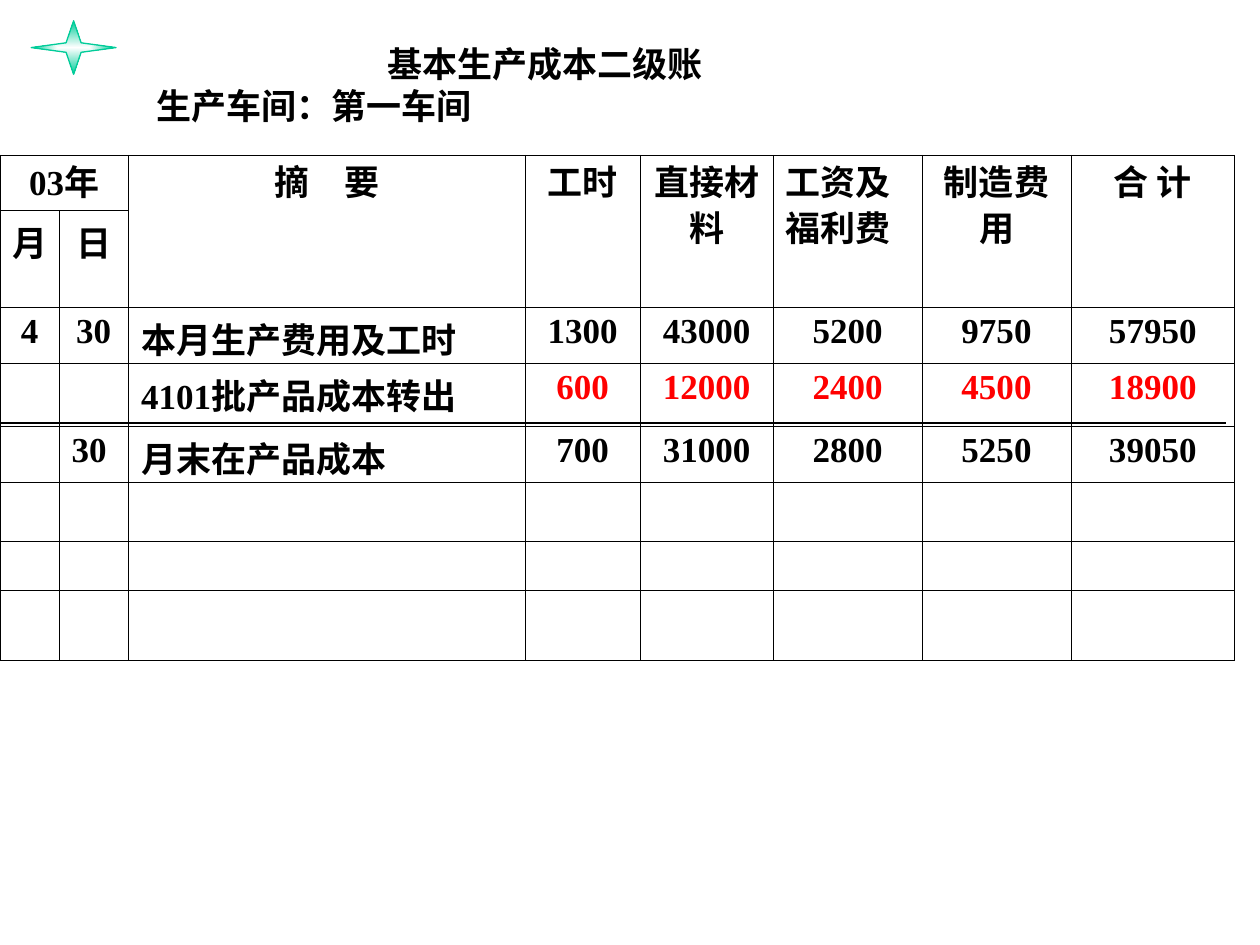
from lxml.etree import SubElement
from pptx import Presentation
from pptx.dml.color import RGBColor
from pptx.enum.shapes import MSO_CONNECTOR as Link, MSO_SHAPE as Shape
from pptx.enum.text import MSO_ANCHOR as Anchor, PP_ALIGN as Align
from pptx.oxml import parse_xml
from pptx.oxml.ns import nsdecls, qn
from pptx.util import Cm, Pt

BLACK = RGBColor(0, 0, 0)
RED = RGBColor(255, 0, 0)
GREEN = RGBColor(0, 204, 153)
FONT = "Times New Roman"

TITLE = ["基本生产成本二级账", "生产车间：第一车间"]
ROWS = [
    ["03年", "", "摘　要", "工时", "直接材料", "工资及福利费", "制造费用", "合 计"],
    ["月", "日", "", "", "", "", "", ""],
    ["4", "30", "本月生产费用及工时", "1300", "43000", "5200", "9750", "57950"],
    ["", "", "4101批产品成本转出", "600", "12000", "2400", "4500", "18900"],
    ["", "30", "月末在产品成本", "700", "31000", "2800", "5250", "39050"],
]
WIDTHS = [1.19, 1.4, 8, 2.31, 2.69, 3, 3, 3.3]
HEIGHTS = [1.12, 1.95, 1.12, 1.27, 4.72]
LEFT = {(0, 5), (2, 2), (3, 2), (4, 1), (4, 2)}
RULES = [(8.53, 24.71), (9.73, 24.89), (10.92, 24.89), (11.91, 24.89)]


def style(run, color=BLACK):
    run.font.name = FONT
    run.font.size = Pt(20)
    run.font.bold = True
    run.font.color.rgb = color


def border(cell):
    props = cell._tc.get_or_add_tcPr()
    for n, side in enumerate(("lnL", "lnR", "lnT", "lnB")):
        props.insert(n, parse_xml(
            f'<a:{side} {nsdecls("a")} w="5715"><a:solidFill>'
            f'<a:srgbClr val="{BLACK}"/></a:solidFill></a:{side}>'))


def add_star(slide):
    star = slide.shapes.add_shape(
        Shape.STAR_4_POINT, Cm(0.63), Cm(0.42), Cm(1.71), Cm(1.08))
    star.adjustments[0] = 0.125
    star.shadow.inherit = False
    star.line.color.rgb = GREEN
    star.line.width = Pt(0)
    grad = parse_xml(
        f'<a:gradFill {nsdecls("a")}><a:gsLst>'
        f'<a:gs pos="0"><a:srgbClr val="FFFFFF"/></a:gs>'
        f'<a:gs pos="100000"><a:srgbClr val="{GREEN}"/></a:gs></a:gsLst>'
        '<a:path path="rect"><a:fillToRect l="50000" t="50000" '
        'r="50000" b="50000"/></a:path></a:gradFill>')
    star._element.spPr.find(qn("a:prstGeom")).addnext(grad)


def add_title(slide):
    title = slide.shapes.title
    title.left, title.top, title.width, title.height = (
        Cm(2.9), Cm(0.72), Cm(18.8), Cm(1.95))
    frame = title.text_frame
    frame.text = "\n".join(TITLE)
    frame.vertical_anchor = Anchor.MIDDLE
    frame.word_wrap = True
    for par, indent in zip(frame.paragraphs, (4.65, 0)):
        par.alignment = Align.LEFT
        par.line_spacing = Pt(24)
        style(par.runs[0])
        props = par._p.get_or_add_pPr()
        props.set("marL", "0")
        props.set("indent", str(Cm(indent)))


def add_ledger(slide):
    table = slide.shapes.add_table(
        len(ROWS), len(WIDTHS), 0, Cm(3.13),
        Cm(sum(WIDTHS)), Cm(sum(HEIGHTS))).table
    table.first_row = table.horz_banding = False
    for col, width in zip(table.columns, WIDTHS):
        col.width = Cm(width)
    for row, height in zip(table.rows, HEIGHTS):
        row.height = Cm(height)
    for r, texts in enumerate(ROWS):
        for c, text in enumerate(texts):
            cell = table.cell(r, c)
            cell.fill.background()
            border(cell)
            cell.margin_top = Cm(0.1)
            cell.margin_bottom = 0
            if text:
                par = cell.text_frame.paragraphs[0]
                par.text = text
                par.alignment = Align.LEFT if (r, c) in LEFT else Align.CENTER
                if r == 0:
                    par.line_spacing = Pt(26)
                style(par.runs[0], RED if r == 3 and c > 2 else BLACK)
    table.cell(0, 0).merge(table.cell(0, 1))
    for c in range(2, len(WIDTHS)):
        table.cell(0, c).merge(table.cell(1, c))


def add_rules(slide):
    for y, end in RULES:
        rule = slide.shapes.add_connector(
            Link.STRAIGHT, 0, Cm(y), Cm(end), Cm(y))
        rule.line.color.rgb = BLACK
        rule.line.width = Pt(0.75)
        SubElement(rule._element.spPr, qn("a:effectLst"))


def main():
    deck = Presentation()
    deck.slide_width, deck.slide_height = Cm(25.4), Cm(19.05)
    slide = deck.slides.add_slide(deck.slide_layouts[5])
    add_star(slide)
    add_title(slide)
    add_ledger(slide)
    add_rules(slide)
    deck.save("out.pptx")


if __name__ == "__main__":
    main()
